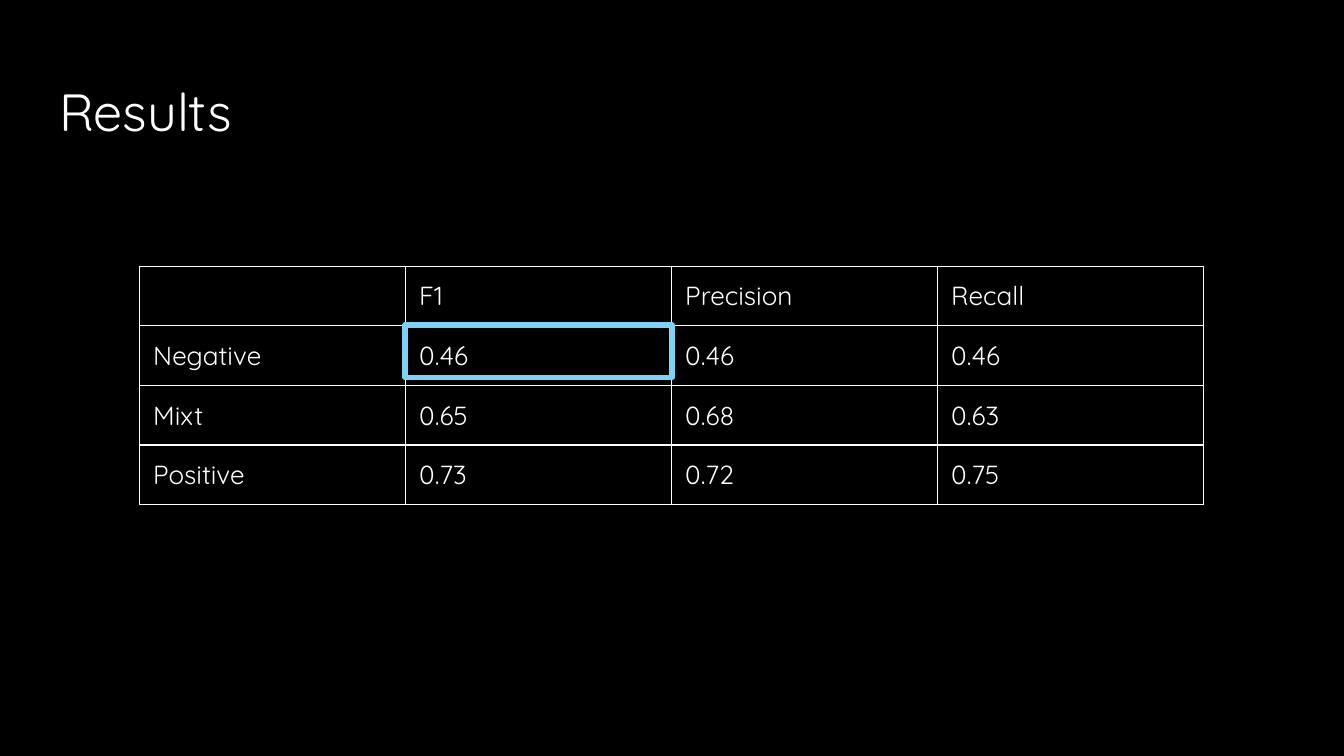
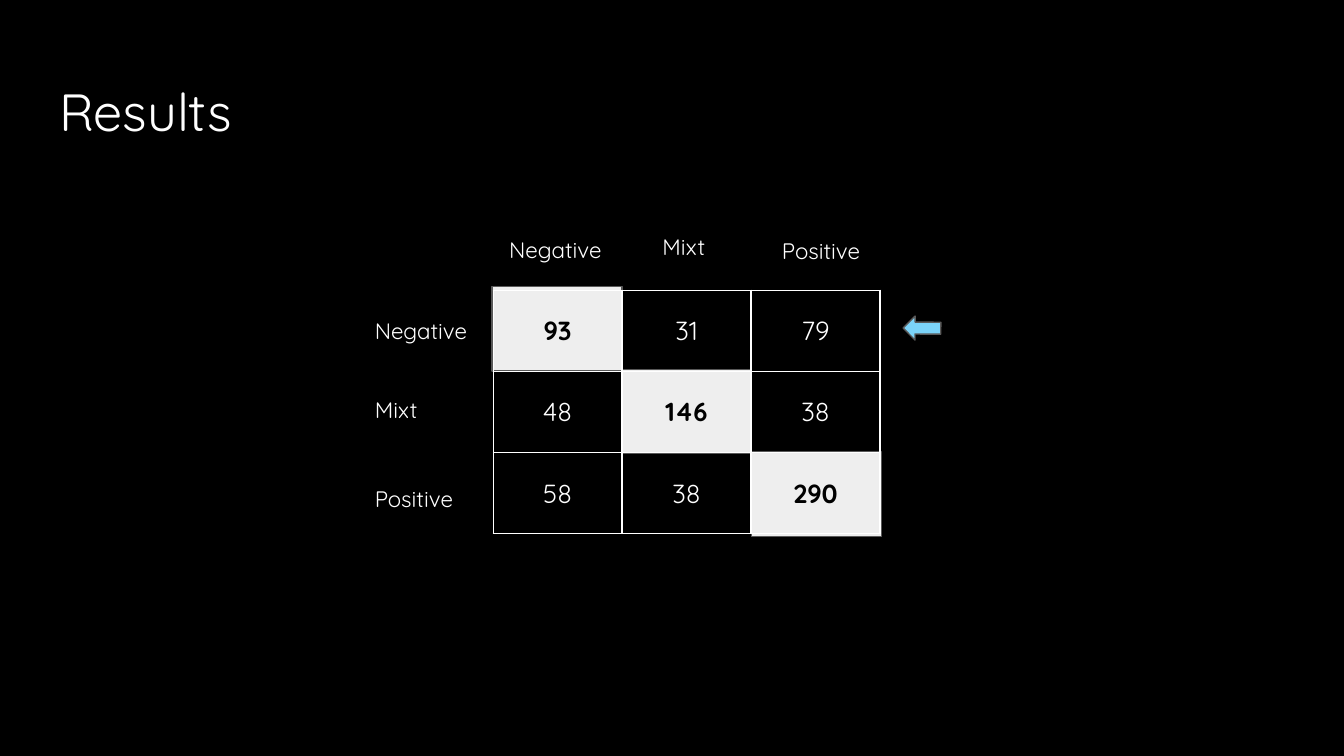
"""Build two slides of classifier results: a score table and a confusion matrix."""
from typing import NamedTuple

from lxml import etree
from pptx import Presentation
from pptx.dml.color import RGBColor
from pptx.enum import shapes, text
from pptx.oxml.ns import qn
from pptx.util import Pt

BLACK, WHITE, PALE, GREY, BLUE = "000000", "FFFFFF", "EEEEEE", "595959", "7BD3F8"
FONT = "Quicksand"
INSET = Pt(7.2)
NAMES = ("Negative", "Mixt", "Positive")
SCORES = (
    ("", "F1", "Precision", "Recall"),
    ("Negative", "0.46", "0.46", "0.46"),
    ("Mixt", "0.65", "0.68", "0.63"),
    ("Positive", "0.73", "0.72", "0.75"),
)
COUNTS = (("93", "31", "79"), ("48", "146", "38"), ("58", "38", "290"))


class Box(NamedTuple):
    x: float
    y: float
    w: float
    h: float

    def pts(self):
        return [Pt(v) for v in self]


class Grid(NamedTuple):
    x: float
    y: float
    col: float
    row: float
    rows: tuple
    matrix: bool = False


class Label(NamedTuple):
    words: str
    box: Box


class Mark(NamedTuple):
    kind: shapes.MSO_SHAPE
    box: Box
    fill: str | None
    line: str
    width: float = 0.75
    turn: float = 0


TITLE = Box(24.5, 35.3, 671, 45.4)
TABLE = Grid(74.9, 142.6, 142.5, 30.5, SCORES)
MATRIX = Grid(264.2, 155.5, 69.1, 43.5, COUNTS, True)
FOCUS = Mark(shapes.MSO_SHAPE.RECTANGLE, Box(217, 174.2, 143.2, 28), None, BLUE, 3)
TILES = [
    Mark(shapes.MSO_SHAPE.RECTANGLE,
         Box(263.5 + 69.5 * i, 153.6 + 44.3 * i, 69.8, 45.2), PALE, GREY)
    for i in reversed(range(3))
]
ARROW = Mark(shapes.MSO_SHAPE.RIGHT_ARROW, Box(483.8, 169.4, 20.2, 12.8),
             BLUE, GREY, turn=180.3)
SIDES = (Box(193.7, 163.4, 77.8, 13), Box(193.7, 207.4, 61.2, 9.4),
         Box(193.7, 255.4, 61.2, 9.4))
HEADS = (Box(265.7, 120.2, 77.8, 13), Box(347.8, 120.2, 61.2, 9.4),
         Box(411.8, 122.4, 61.2, 9.4))
LABELS = [Label(*pair) for pair in zip(NAMES * 2, SIDES + HEADS)]


def color(code: str) -> RGBColor:
    return RGBColor.from_string(code)


def write(frame, words: str, *, size=14, tint=WHITE, bold=False,
          align=text.PP_ALIGN.LEFT) -> None:
    para = frame.paragraphs[0]
    para.alignment = align
    if not words:
        etree.SubElement(para._p, qn("a:endParaRPr"), sz=str(size * 100))
        return
    run = para.add_run()
    run.text = words
    font = run.font
    font.name, font.size, font.bold = FONT, Pt(size), bold
    font.color.rgb = color(tint)


def inset(frame) -> None:
    frame.margin_left = frame.margin_right = INSET
    frame.margin_top = frame.margin_bottom = INSET


def block(shape, words: str, size: int) -> None:
    frame = shape.text_frame
    frame.word_wrap = True
    frame.auto_size = text.MSO_AUTO_SIZE.NONE
    frame.vertical_anchor = text.MSO_ANCHOR.TOP
    inset(frame)
    write(frame, words, size=size)


def start(deck):
    slide = deck.slides.add_slide(deck.slide_layouts[5])
    title = slide.shapes.title
    title.left, title.top, title.width, title.height = TITLE.pts()
    block(title, "Results", 28)
    return slide


def border(cell) -> None:
    props = cell._tc.get_or_add_tcPr()
    for side in ("lnL", "lnR", "lnT", "lnB"):
        line = etree.SubElement(props, qn(f"a:{side}"), w=str(Pt(0.75)))
        fill = etree.SubElement(line, qn("a:solidFill"))
        etree.SubElement(fill, qn("a:srgbClr"), val=WHITE)


def draw_grid(slide, grid: Grid) -> None:
    down, wide = len(grid.rows), len(grid.rows[0])
    box = Box(grid.x, grid.y, grid.col * wide, grid.row * down)
    table = slide.shapes.add_table(down, wide, *box.pts()).table
    table.first_row = table.horz_banding = False
    for col in table.columns:
        col.width = Pt(grid.col)
    for i, row in enumerate(grid.rows):
        table.rows[i].height = Pt(grid.row)
        for j, words in enumerate(row):
            cell = table.cell(i, j)
            hit = grid.matrix and i == j
            border(cell)
            cell.fill.background()
            inset(cell)
            cell.vertical_anchor = (
                text.MSO_ANCHOR.MIDDLE if grid.matrix else text.MSO_ANCHOR.TOP)
            write(cell.text_frame, words, bold=hit, tint=BLACK if hit else WHITE,
                  align=text.PP_ALIGN.CENTER if grid.matrix else text.PP_ALIGN.LEFT)


def draw_mark(slide, mark: Mark) -> None:
    shape = slide.shapes.add_shape(mark.kind, *mark.box.pts())
    shape.shadow.inherit = False
    shape.rotation = mark.turn
    if mark.fill:
        shape.fill.solid()
        shape.fill.fore_color.rgb = color(mark.fill)
    else:
        shape.fill.background()
    shape.line.color.rgb = color(mark.line)
    shape.line.width = Pt(mark.width)


def draw_label(slide, label: Label) -> None:
    block(slide.shapes.add_textbox(*label.box.pts()), label.words, 12)


def main() -> None:
    deck = Presentation()
    deck.slide_width, deck.slide_height = Pt(720), Pt(405)
    back = deck.slide_master.background.fill
    back.solid()
    back.fore_color.rgb = color(BLACK)

    scores = start(deck)
    draw_grid(scores, TABLE)
    draw_mark(scores, FOCUS)

    counts = start(deck)
    for tile in TILES:
        draw_mark(counts, tile)
    draw_grid(counts, MATRIX)
    for label in LABELS:
        draw_label(counts, label)
    draw_mark(counts, ARROW)

    deck.save("out.pptx")


if __name__ == "__main__":
    main()
